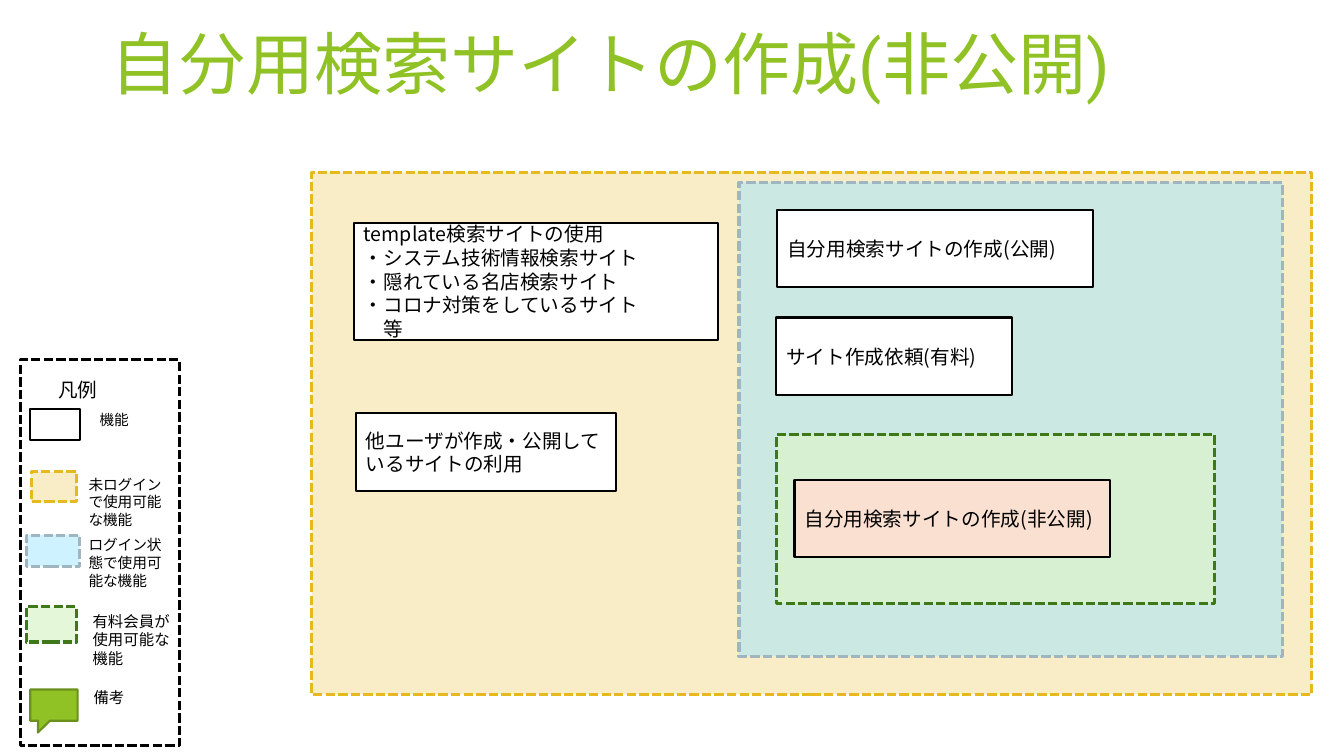
from lxml.etree import SubElement
from pptx import Presentation
from pptx.dml.color import RGBColor
from pptx.enum.dml import MSO_LINE_DASH_STYLE as DASH
from pptx.enum.shapes import MSO_SHAPE as SHAPE
from pptx.enum.text import MSO_ANCHOR as ANCHOR, PP_ALIGN as ALIGN
from pptx.oxml.ns import qn
from pptx.util import Inches, Pt

BLACK, WHITE, LIME = "000000", "FFFFFF", "90C226"
SANS, LATIN = "Noto Sans CJK JP", "Roboto"
ZONES = {
    "guest": ("E6B91E", 25, "E6B91E"),
    "member": ("9FE6FF", 50, "9FB6C0"),
    "paid": ("DBF4CA", 70, "3F7819"),
    "legend": (None, 100, BLACK),
}

deck = Presentation()
deck.slide_width, deck.slide_height = Inches(13.33), Inches(7.5)
page = deck.slides.add_slide(deck.slide_layouts[6])


def add_box(place, fill, line, width=1.5, alpha=100, kind=SHAPE.RECTANGLE):
    box = page.shapes.add_shape(kind, *map(Inches, place))
    box.shadow.inherit = False
    box.line.color.rgb = RGBColor.from_string(line)
    box.line.width = Pt(width)
    if width > 2:
        box.line.dash_style = DASH.SQUARE_DOT
    if fill is None:
        box.fill.background()
    else:
        box.fill.solid()
        box.fill.fore_color.rgb = RGBColor.from_string(fill)
    if alpha < 100:
        color = box.fill._xPr.find(qn("a:solidFill"))[0]
        SubElement(color, qn("a:alpha"), val=str(alpha * 1000))
    return box


def write(box, lines, size, font, color=BLACK, align=ALIGN.LEFT, anchor=ANCHOR.TOP):
    frame = box.text_frame
    frame.word_wrap = True
    frame.vertical_anchor = anchor
    for index, line in enumerate(lines):
        para = frame.add_paragraph() if index else frame.paragraphs[0]
        para.alignment = align
        span = para.add_run()
        span.text = line
        span.font.size = Pt(size)
        span.font.name = font
        span.font.color.rgb = RGBColor.from_string(color)
    return frame


for zone, place in [
    ("guest", (3.09, 1.71, 9.92, 5.18)),
    ("member", (7.33, 1.81, 5.39, 4.7)),
    ("paid", (7.7, 4.31, 4.35, 1.68)),
    ("legend", (0.2, 3.57, 1.58, 3.83)),
    ("paid", (0.26, 6.02, 0.5, 0.35)),
    ("member", (0.26, 5.31, 0.53, 0.31)),
    ("guest", (0.31, 4.68, 0.45, 0.3)),
]:
    fill, alpha, line = ZONES[zone]
    add_box(place, fill, line, 2.25, alpha)

for place, fill, lines in [
    ((7.71, 2.08, 3.13, 0.77), WHITE, ["自分用検索サイトの作成(公開)"]),
    ((3.53, 4.1, 2.58, 0.77), WHITE, ["他ユーザが作成・公開しているサイトの利用"]),
    ((7.88, 4.76, 3.13, 0.77), "FAE0D1", ["自分用検索サイトの作成(非公開)"]),
    ((7.7, 3.15, 2.34, 0.77), WHITE, ["サイト作成依頼(有料)"]),
    ((3.51, 2.21, 3.61, 1.16), WHITE, [
        "template検索サイトの使用",
        "・システム技術情報検索サイト",
        "・隠れている名店検索サイト",
        "・コロナ対策をしているサイト",
        "　等",
    ]),
]:
    write(add_box(place, fill, BLACK), lines, 14, SANS, anchor=ANCHOR.MIDDLE)

add_box((0.3, 4.06, 0.49, 0.31), WHITE, BLACK)
note = add_box((0.3, 6.84, 0.47, 0.31), LIME, "6B901C", kind=SHAPE.RECTANGULAR_CALLOUT)
note.adjustments[0], note.adjustments[1] = -0.338, 0.879

for place, label, size in [
    ((0.48, 3.7, 1, 0.34), "凡例", 14),
    ((0.89, 4.03, 1, 0.28), "機能", 10.5),
    ((0.78, 4.67, 1, 0.63), "未ログインで使用可能な機能", 10.5),
    ((0.78, 5.27, 1, 0.63), "ログイン状態で使用可能な機能", 10.5),
    ((0.82, 6.02, 0.97, 0.66), "有料会員が使用可能な機能", 11),
    ((0.83, 6.78, 0.97, 0.29), "備考", 11),
]:
    write(page.shapes.add_textbox(*map(Inches, place)), [label], size, LATIN)

title = page.shapes.add_textbox(*map(Inches, (0.74, 0.26, 10.62, 1.44)))
heading = write(title, ["自分用検索サイトの作成(非公開)"], 48.6, LATIN, LIME, ALIGN.CENTER)
heading.paragraphs[0].line_spacing = 0.9

deck.save("out.pptx")
